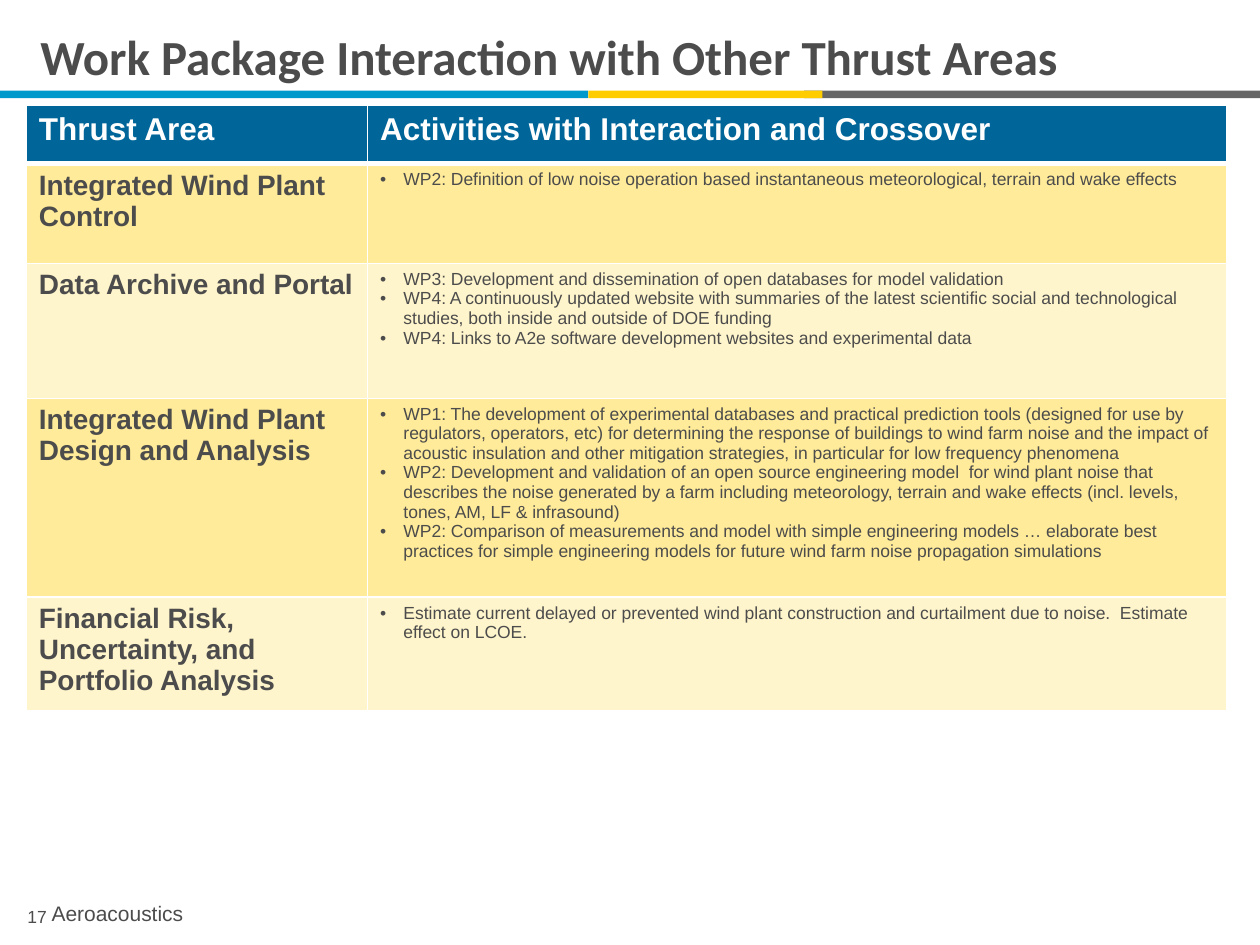
from dataclasses import dataclass

from lxml import etree
from pptx import Presentation
from pptx import util as u
from pptx.dml import color
from pptx.enum import shapes, text
from pptx.oxml import ns


@dataclass(frozen=True)
class Theme:
    blue: str = "0099CC"
    yellow: str = "FFCC00"
    grey: str = "666666"
    header: str = "006699"
    band_dark: str = "FFEB99"
    band_light: str = "FFF5CC"
    ink: str = "4C4C4C"
    white: str = "FFFFFF"
    heading_font: str = "Calibri"
    body_font: str = "Arial"
    title_size: int = 28
    header_size: int = 18
    area_size: int = 16
    footer_size: int = 12
    small_size: int = 10


THEME = Theme()

HEADERS = ("Thrust Area", "Activities with Interaction and Crossover")
COLUMN_WIDTHS = (6.88, 17.32)
ROW_HEIGHTS = (1.17, 2.01, 2.72, 4.01, 2.13)
THRUST_AREAS = (
    ("Integrated Wind Plant Control", (
        "WP2: Definition of low noise operation based instantaneous meteorological, "
        "terrain and wake effects",
    )),
    ("Data Archive and Portal", (
        "WP3: Development and dissemination of open databases for model validation",
        "WP4: A continuously updated website with summaries of the latest scientific "
        "social and technological studies, both inside and outside of DOE funding",
        "WP4: Links to A2e software development websites and experimental data",
    )),
    ("Integrated Wind Plant Design and Analysis", (
        "WP1: The development of experimental databases and practical prediction tools "
        "(designed for use by regulators, operators, etc) for determining the response "
        "of buildings to wind farm noise and the impact of acoustic insulation and other "
        "mitigation strategies, in particular for low frequency phenomena",
        "WP2: Development and validation of an open source engineering model  for wind "
        "plant noise that describes the noise generated by a farm including meteorology, "
        "terrain and wake effects (incl. levels, tones, AM, LF & infrasound)",
        "WP2: Comparison of measurements and model with simple engineering models … "
        "elaborate best practices for simple engineering models for future wind farm "
        "noise propagation simulations",
    )),
    ("Financial Risk, Uncertainty, and Portfolio Analysis", (
        "Estimate current delayed or prevented wind plant construction and curtailment "
        "due to noise.  Estimate effect on LCOE.",
    )),
)


def rgb(value):
    return color.RGBColor.from_string(value)


def add_run(paragraph, words, size, ink=THEME.ink, font=THEME.body_font, bold=False):
    run = paragraph.add_run()
    run.text = words
    run.font.size = u.Pt(size)
    run.font.name = font
    run.font.bold = bold
    run.font.color.rgb = rgb(ink)


def set_title(slide, words):
    title = slide.shapes.title
    title.left, title.top, title.width, title.height = u.Cm(0.56), u.Cm(0), u.Cm(24.23), u.Cm(2.26)
    frame = title.text_frame
    frame.auto_size = text.MSO_AUTO_SIZE.NONE
    frame.vertical_anchor = text.MSO_ANCHOR.MIDDLE
    paragraph = frame.paragraphs[0]
    paragraph.alignment = text.PP_ALIGN.LEFT
    add_run(paragraph, words, THEME.title_size, font=THEME.heading_font, bold=True)


def add_bar(slide, left, width, fill):
    """Add one segment of the coloured rule under the title."""
    bar = slide.shapes.add_shape(
        shapes.MSO_SHAPE.RECTANGLE, u.Cm(left), u.Cm(1.83), u.Cm(width), u.Cm(0.15))
    bar.shadow.inherit = False
    bar.fill.solid()
    bar.fill.fore_color.rgb = rgb(fill)
    bar.line.fill.background()


def add_label(slide, words, left, top, width, height, size, alignment):
    label = slide.shapes.add_textbox(u.Cm(left), u.Cm(top), u.Cm(width), u.Cm(height))
    frame = label.text_frame
    frame.word_wrap = True
    frame.margin_left = frame.margin_right = 0
    frame.vertical_anchor = text.MSO_ANCHOR.MIDDLE
    paragraph = frame.paragraphs[0]
    paragraph.alignment = alignment
    add_run(paragraph, words, size)


def set_borders(cell, top=1, bottom=1):
    properties = cell._tc.get_or_add_tcPr()
    for side, width in (("L", 1), ("R", 1), ("T", top), ("B", bottom)):
        line = etree.SubElement(properties, ns.qn(f"a:ln{side}"), w=str(u.Pt(width)))
        fill = etree.SubElement(line, ns.qn("a:solidFill"))
        etree.SubElement(fill, ns.qn("a:srgbClr"), val=THEME.white)


def set_bullet(paragraph, indent):
    properties = paragraph._p.get_or_add_pPr()
    properties.set("marL", str(indent))
    properties.set("indent", str(-indent))
    etree.SubElement(properties, ns.qn("a:buFont"), typeface=THEME.body_font)
    etree.SubElement(properties, ns.qn("a:buChar"), char="•")


def fill_cell(cell, fill):
    cell.fill.solid()
    cell.fill.fore_color.rgb = rgb(fill)


def write_header(table):
    for cell, words in zip(table.rows[0].cells, HEADERS):
        set_borders(cell, bottom=3)
        fill_cell(cell, THEME.header)
        add_run(cell.text_frame.paragraphs[0], words, THEME.header_size, THEME.white, bold=True)


def write_area(table, row, area, activities):
    for cell in table.rows[row].cells:
        set_borders(cell, top=3 if row == 1 else 1)
        fill_cell(cell, THEME.band_dark if row % 2 else THEME.band_light)
    area_cell, activity_cell = table.rows[row].cells
    add_run(area_cell.text_frame.paragraphs[0], area, THEME.area_size, bold=True)
    frame = activity_cell.text_frame
    for number, activity in enumerate(activities):
        paragraph = frame.add_paragraph() if number else frame.paragraphs[0]
        set_bullet(paragraph, u.Cm(0.47))
        add_run(paragraph, activity, THEME.small_size)


def add_area_table(slide):
    table = slide.shapes.add_table(
        len(ROW_HEIGHTS), len(COLUMN_WIDTHS), u.Cm(0.53), u.Cm(2.13),
        u.Cm(sum(COLUMN_WIDTHS)), u.Cm(sum(ROW_HEIGHTS))).table
    table.horz_banding = False
    for column, width in zip(table.columns, COLUMN_WIDTHS):
        column.width = u.Cm(width)
    for row, height in zip(table.rows, ROW_HEIGHTS):
        row.height = u.Cm(height)
    write_header(table)
    for row, (area, activities) in enumerate(THRUST_AREAS, start=1):
        write_area(table, row, area, activities)


def main():
    presentation = Presentation()
    presentation.slide_width, presentation.slide_height = u.Cm(25.4), u.Cm(19.05)
    slide = presentation.slides.add_slide(presentation.slide_layouts[5])
    add_label(slide, "17", 0.13, 18.14, 1.24, 0.66, THEME.small_size, text.PP_ALIGN.CENTER)
    add_bar(slide, 0, 11.86, THEME.blue)
    add_bar(slide, 16.21, 9.19, THEME.grey)
    add_bar(slide, 11.86, 4.72, THEME.yellow)
    set_title(slide, "Work Package Interaction with Other Thrust Areas")
    add_area_table(slide)
    add_label(slide, "Aeroacoustics", 1.04, 18.03, 19.66, 0.76,
              THEME.footer_size, text.PP_ALIGN.LEFT)
    presentation.save("out.pptx")


if __name__ == "__main__":
    main()
